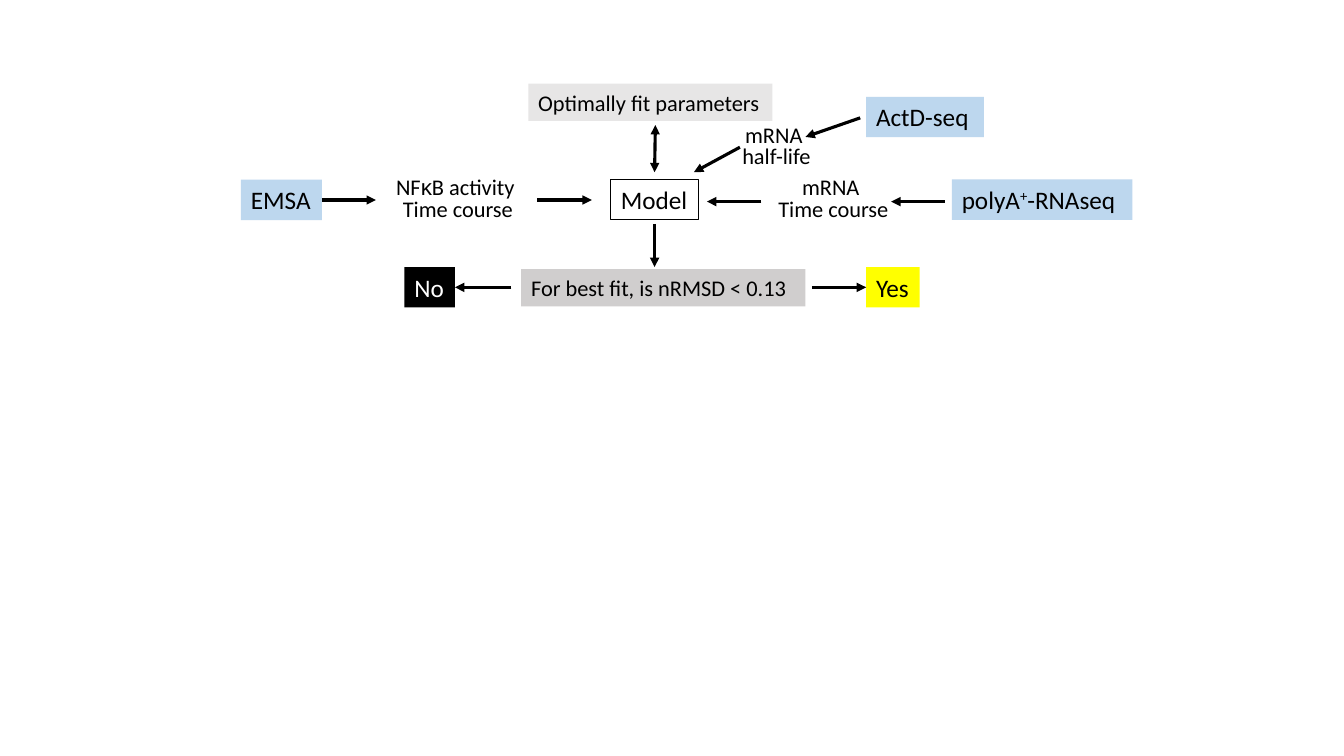
from pptx import Presentation
from pptx.dml.color import RGBColor
from pptx.enum.shapes import MSO_CONNECTOR as Connector, MSO_SHAPE as Shape
from pptx.enum.text import MSO_ANCHOR as Anchor, PP_ALIGN as Align
from pptx.oxml.ns import qn
from pptx.util import Cm, Inches, Pt
from lxml.etree import SubElement

BLACK, WHITE, YELLOW = "000000", "FFFFFF", "FFFF00"
ASSAY_BLUE, PALE_GREY, MID_GREY = "BDD7EE", "E7E6E6", "D0CECE"
TAG_HEIGHT, BAR_HEIGHT, NOTE_HEIGHT = 1.02, 0.94, 1.36
TOP, LEFT, BOTTOM, RIGHT = range(4)


def color(hex_text):
    return RGBColor.from_string(hex_text)


def write(frame, lines, size=18, ink=BLACK, align=Align.LEFT, spacing=None,
          left_inset=0.25):
    """Fill a frame; each line is a list of (text, font, superscript) runs or a string."""
    frame.word_wrap = True
    frame.vertical_anchor = Anchor.TOP
    frame.margin_left, frame.margin_right = Cm(left_inset), 0
    for index, line in enumerate(lines):
        para = frame.paragraphs[0] if index == 0 else frame.add_paragraph()
        para.alignment = align
        para.line_spacing = spacing
        runs = [(line, "Calibri", False)] if isinstance(line, str) else line
        for text, font, superscript in runs:
            span = para.add_run()
            span.text = text
            span.font.name = font
            span.font.size = Pt(size)
            span.font.color.rgb = color(ink)
            if superscript:
                span.font._element.set("baseline", "30000")


def add_tag(slide, line, x, y, width, height=TAG_HEIGHT, fill=None, **text_format):
    """Add a filled label, or an outlined one if there is no fill."""
    box = slide.shapes.add_shape(Shape.RECTANGLE, Cm(x), Cm(y), Cm(width), Cm(height))
    box.shadow.inherit = False
    if fill:
        box.fill.solid()
        box.fill.fore_color.rgb = color(fill)
        box.line.fill.background()
    else:
        box.fill.background()
        box.line.color.rgb = color(BLACK)
        box.line.width = Pt(0.75)
    write(box.text_frame, [line], **text_format)
    return box


def add_note(slide, lines, x, y, width):
    box = slide.shapes.add_textbox(Cm(x), Cm(y), Cm(width), Cm(NOTE_HEIGHT))
    write(box.text_frame, lines, size=16, align=Align.CENTER, spacing=0.8, left_inset=0)


def add_arrow(slide, start, end, both_ends=False):
    points = [Cm(value) for value in (*start, *end)]
    arrow = slide.shapes.add_connector(Connector.STRAIGHT, *points)
    arrow.line.color.rgb = color(BLACK)
    arrow.line.width = Pt(2.25)
    line = arrow.line._get_or_add_ln()
    for end_name in ("headEnd", "tailEnd") if both_ends else ("tailEnd",):
        SubElement(line, qn(f"a:{end_name}"), type="triangle")
    SubElement(arrow._element.spPr, qn("a:effectLst"))
    return arrow


def draw_activity_input(slide, x, y):
    middle = y + 0.67
    assay = add_tag(slide, "EMSA", x, y + 0.16, 2.04, fill=ASSAY_BLUE)
    activity = [("NF", "Calibri", False), ("κ", "Arial", False),
                ("B activity ", "Calibri", False)]
    add_note(slide, [activity, "Time course"], x + 3.61, y, 3.71)
    from_assay = add_arrow(slide, (x + 2.04, middle), (x + 3.4, middle))
    from_assay.begin_connect(assay, RIGHT)
    add_arrow(slide, (x + 7.47, middle), (x + 8.84, middle))


def draw_mrna_inputs(slide, x, y):
    add_tag(slide, "ActD-seq", x + 4.34, y, 2.97, fill=ASSAY_BLUE)
    add_arrow(slide, (x + 4.19, y + 0.53), (x + 2.81, y + 1.01))
    add_note(slide, ["mRNA ", "half-life"], x + 0.96, y + 0.61, 2.24)
    add_arrow(slide, (x + 1.16, y + 1.27), (x, y + 1.9))

    sequencing = [("polyA", "Calibri", False), ("+", "Calibri", True),
                  ("-RNAseq", "Calibri", False)]
    add_tag(slide, sequencing, x + 6.5, y + 2.08, 4.55, fill=ASSAY_BLUE)
    add_note(slide, ["mRNA ", "Time course"], x + 1.85, y + 1.93, 3.33)
    for start, end in ((6.32, 4.97), (1.7, 0.33)):
        add_arrow(slide, (x + start, y + 2.64), (x + end, y + 2.64))


def draw_model(slide, x, y):
    axis = x + 3.18
    add_tag(slide, "Optimally fit parameters", x, y, 6.15, BAR_HEIGHT,
            fill=PALE_GREY, size=16)
    add_tag(slide, "Model", x + 2.08, y + 2.41, 2.21)
    add_arrow(slide, (axis + 0.02, y + 1.04), (axis, y + 2.23), both_ends=True)
    add_arrow(slide, (axis, y + 3.53), (axis, y + 4.62))


def draw_verdict(slide, x, y):
    middle = y + TAG_HEIGHT / 2
    no = add_tag(slide, "No", x, y, 1.27, fill=BLACK, ink=WHITE)
    add_tag(slide, "For best fit, is nRMSD < 0.13", x + 2.94, y + 0.05, 7.16,
            BAR_HEIGHT, fill=MID_GREY, size=16)
    yes = add_tag(slide, "Yes", x + 11.63, y, 1.35, fill=YELLOW)
    to_no = add_arrow(slide, (x + 2.69, middle), (x + 1.27, middle))
    to_no.end_connect(no, RIGHT)
    to_yes = add_arrow(slide, (x + 10.26, middle), (x + 11.63, middle))
    to_yes.end_connect(yes, LEFT)


def main():
    deck = Presentation()
    deck.slide_width, deck.slide_height = Inches(13.33), Inches(7.5)
    page = deck.slides.add_slide(deck.slide_layouts[6])
    draw_activity_input(page, 6.07, 4.37)
    draw_mrna_inputs(page, 17.48, 2.44)
    draw_model(page, 13.31, 2.11)
    draw_verdict(page, 10.19, 6.73)
    deck.save("out.pptx")


if __name__ == "__main__":
    main()
